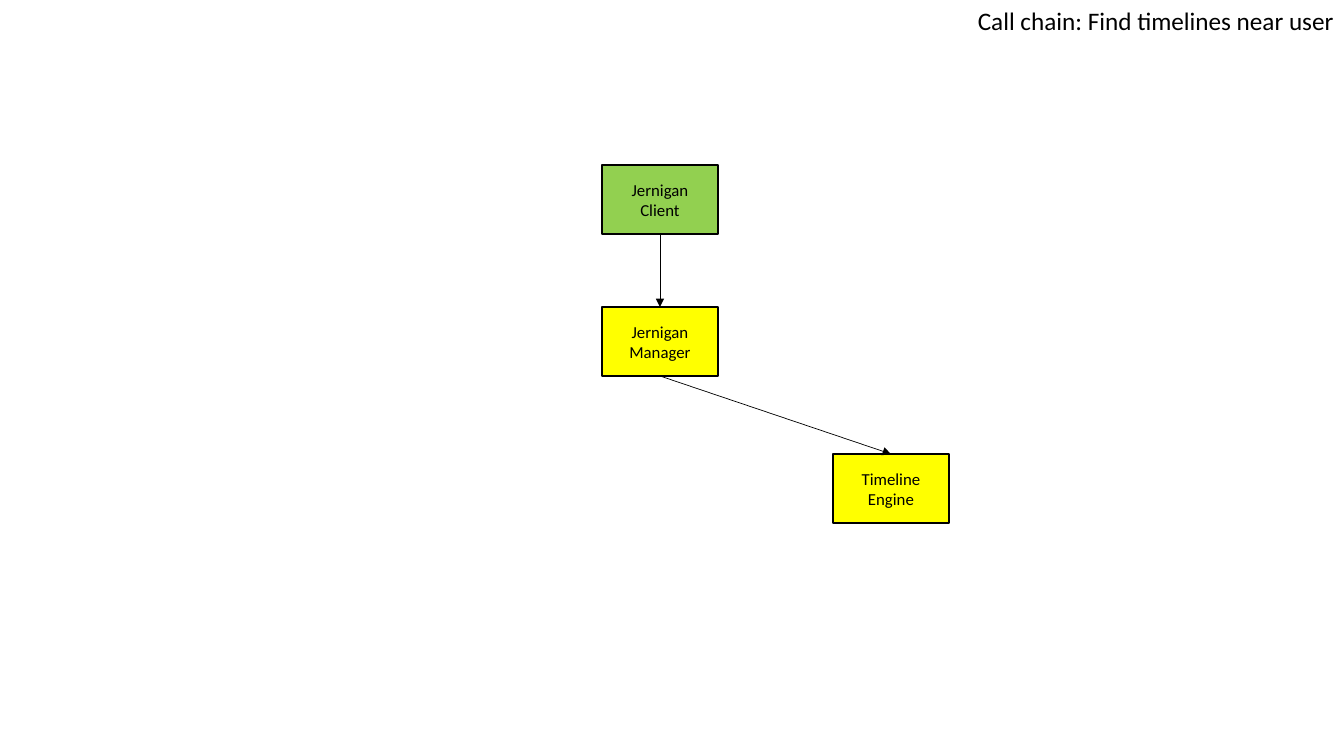
import pptx
import pptx.util
import pptx.dml.color
import pptx.enum.shapes
import pptx.enum.text
import pptx.oxml.ns
import lxml.etree

RGBColor = pptx.dml.color.RGBColor
BLACK = RGBColor(0x00, 0x00, 0x00)
GREEN = RGBColor(0x92, 0xD0, 0x50)
YELLOW = RGBColor(0xFF, 0xFF, 0x00)

FONT = "Calibri"
SLIDE_SIZE = (1344, 756)
HEADING = "Call chain: Find timelines near user"
HEADING_BOX = (788, 0, 556, 40)
COMPONENT_SIZE = (116, 69)
COMPONENTS = {
    "Jernigan Client": (602, 165, GREEN),
    "Timeline Engine": (833, 454, YELLOW),
    "Jernigan Manager": (602, 307, YELLOW),
}
CALLS = [
    ("Jernigan Client", "Jernigan Manager"),
    ("Jernigan Manager", "Timeline Engine"),
]
BOTTOM, TOP = 2, 0


def px(length):
    return pptx.util.Emu(round(length * 914400 / 100.8))


def write(frame, text, size, alignment):
    frame.word_wrap = True
    frame.vertical_anchor = pptx.enum.text.MSO_ANCHOR.MIDDLE
    paragraph = frame.paragraphs[0]
    paragraph.alignment = alignment
    run = paragraph.add_run()
    run.text = text
    run.font.name = FONT
    run.font.size = pptx.util.Pt(size)
    run.font.color.rgb = BLACK


def add_component(slide, label, left, top, color):
    component = slide.shapes.add_shape(
        pptx.enum.shapes.MSO_SHAPE.RECTANGLE,
        *map(px, (left, top, *COMPONENT_SIZE)))
    component.shadow.inherit = False
    component.fill.solid()
    component.fill.fore_color.rgb = color
    component.line.color.rgb = BLACK
    component.line.width = pptx.util.Pt(1)
    write(component.text_frame, label, 12, pptx.enum.text.PP_ALIGN.CENTER)
    return component


def add_call(slide, caller, callee):
    call = slide.shapes.add_connector(
        pptx.enum.shapes.MSO_CONNECTOR.STRAIGHT, 0, 0, 0, 0)
    call.begin_connect(caller, BOTTOM)
    call.end_connect(callee, TOP)
    call.line.color.rgb = BLACK
    call.line.width = pptx.util.Pt(0.5)
    qn = pptx.oxml.ns.qn
    properties = call._element.spPr
    lxml.etree.SubElement(properties.find(qn("a:ln")), qn("a:tailEnd"), type="triangle")
    lxml.etree.SubElement(properties, qn("a:effectLst"))


def main():
    presentation = pptx.Presentation()
    presentation.slide_width, presentation.slide_height = map(px, SLIDE_SIZE)
    slide = presentation.slides.add_slide(presentation.slide_layouts[5])

    heading = slide.shapes.title
    heading.left, heading.top, heading.width, heading.height = map(px, HEADING_BOX)
    write(heading.text_frame, HEADING, 18, pptx.enum.text.PP_ALIGN.RIGHT)
    heading.text_frame.auto_size = pptx.enum.text.MSO_AUTO_SIZE.SHAPE_TO_FIT_TEXT

    components = {label: add_component(slide, label, *placement)
                  for label, placement in COMPONENTS.items()}
    for caller, callee in CALLS:
        add_call(slide, components[caller], components[callee])

    presentation.save("out.pptx")


if __name__ == "__main__":
    main()
